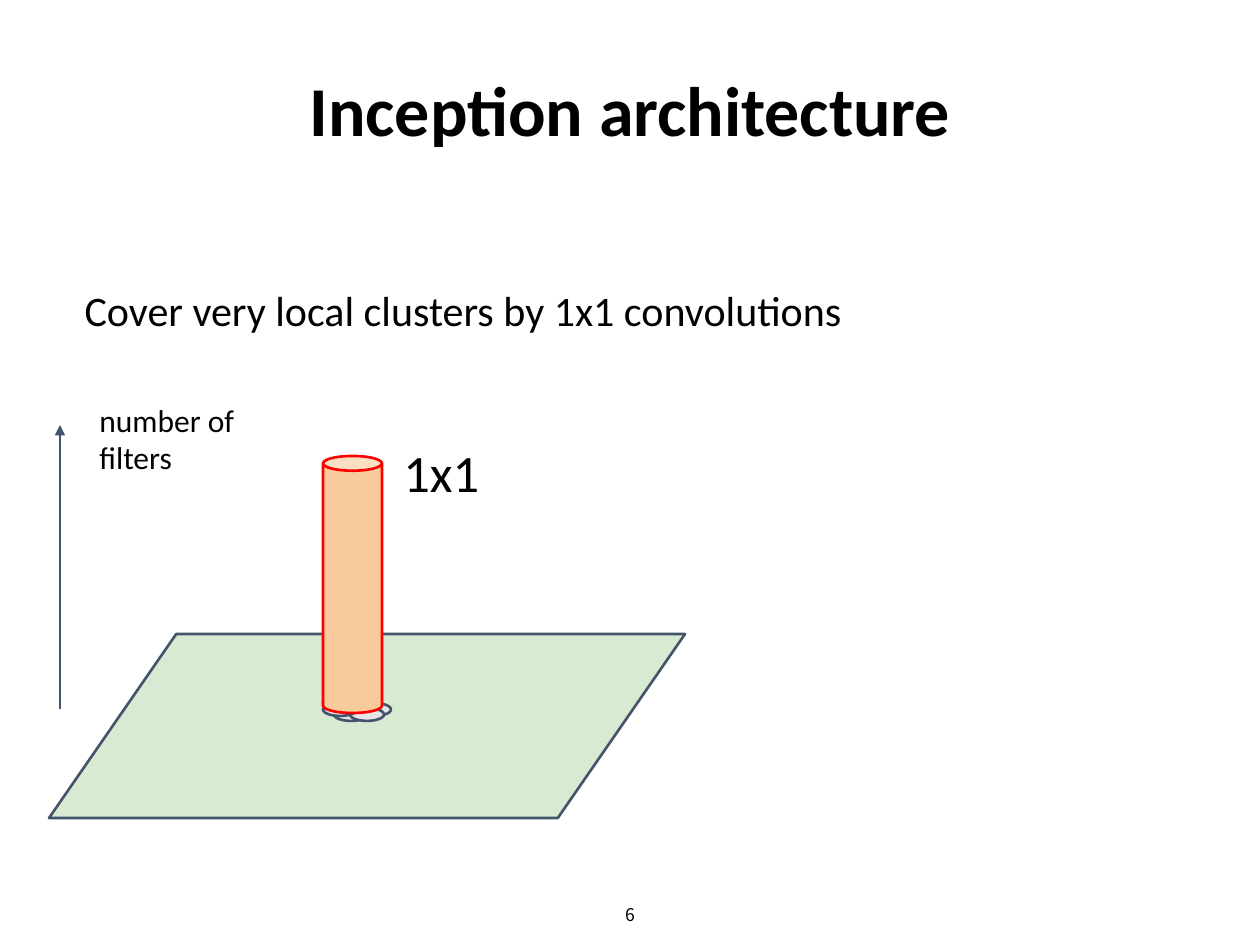
from dataclasses import dataclass

import pptx
import pptx.dml.color
import pptx.enum.shapes
import pptx.enum.text
import pptx.oxml
import pptx.oxml.ns
import pptx.util

PIXELS_PER_INCH = 126
Shape = pptx.enum.shapes.MSO_SHAPE
Align = pptx.enum.text.PP_ALIGN
Anchor = pptx.enum.text.MSO_ANCHOR


@dataclass(frozen=True)
class Theme:
    font: str = "Calibri"
    number_font: str = "Noto Sans CJK KR"
    text: str = "000000"
    outline: str = "44546A"
    plane: str = "D9EAD3"
    cluster: str = "E7E6E6"
    filter_fill: str = "F9CB9C"
    filter_outline: str = "FF0000"
    title_size: int = 40
    body_size: int = 24
    filter_size: int = 30
    label_size: int = 18
    number_size: int = 10
    line_width: float = 1.5


@dataclass(frozen=True)
class Area:
    left: int
    top: int
    width: int
    height: int

    def emu(self) -> tuple:
        return tuple(px(n) for n in (self.left, self.top, self.width, self.height))


@dataclass(frozen=True)
class Solid:
    kind: int
    area: Area
    fill: str
    outline: str


THEME = Theme()
CLUSTER_POINTS = ((323, 696), (334, 703), (347, 696), (357, 703),
                  (334, 708), (350, 708), (323, 703))
SOLIDS = (
    Solid(Shape.FLOWCHART_DATA, Area(49, 634, 636, 184), THEME.plane, THEME.outline),
    *(Solid(Shape.OVAL, Area(left, top, 34, 13), THEME.cluster, THEME.outline)
      for left, top in CLUSTER_POINTS),
    Solid(Shape.CAN, Area(323, 456, 59, 257), THEME.filter_fill, THEME.filter_outline),
)


def px(length: int) -> int:
    return round(length * 914400 / PIXELS_PER_INCH)


def color(value: str) -> pptx.dml.color.RGBColor:
    return pptx.dml.color.RGBColor.from_string(value)


def write(box, text: str, *, area: Area, size: int, font: str = THEME.font,
          bold: bool = False, align: int = Align.LEFT, anchor: int = Anchor.TOP) -> None:
    box.left, box.top, box.width, box.height = area.emu()
    frame = box.text_frame
    frame.word_wrap = True
    frame.auto_size = pptx.enum.text.MSO_AUTO_SIZE.NONE
    frame.vertical_anchor = anchor
    inset = pptx.util.Inches(0.1)
    frame.margin_left = frame.margin_right = inset
    frame.margin_top = frame.margin_bottom = inset if anchor == Anchor.TOP else 0
    para = frame.paragraphs[0]
    para.alignment = align
    para.space_before = pptx.util.Pt(0)
    span = para.add_run()
    span.text = text
    span.font.name = font
    span.font.size = pptx.util.Pt(size)
    span.font.bold = bold
    span.font.color.rgb = color(THEME.text)


def remove_bullet(para) -> None:
    properties = para._p.get_or_add_pPr()
    properties.set("marL", "0")
    properties.set("indent", "0")
    properties.append(pptx.oxml.parse_xml(
        f"<a:buNone {pptx.oxml.ns.nsdecls('a')}/>"))


def draw_solid(page, solid: Solid) -> None:
    shape = page.shapes.add_shape(solid.kind, *solid.area.emu())
    shape.shadow.inherit = False
    shape.fill.solid()
    shape.fill.fore_color.rgb = color(solid.fill)
    shape.line.color.rgb = color(solid.outline)
    shape.line.width = pptx.util.Pt(THEME.line_width)


def draw_arrow(page, start: tuple[int, int], end: tuple[int, int]) -> None:
    arrow = page.shapes.add_connector(
        pptx.enum.shapes.MSO_CONNECTOR.STRAIGHT, *(px(n) for n in start + end))
    arrow.line.color.rgb = color(THEME.outline)
    arrow.line.width = pptx.util.Pt(THEME.line_width)
    namespace = pptx.oxml.ns.nsdecls("a")
    arrow.line._get_or_add_ln().append(
        pptx.oxml.parse_xml(f'<a:tailEnd {namespace} type="triangle"/>'))
    arrow._element.spPr.append(pptx.oxml.parse_xml(f"<a:effectLst {namespace}/>"))


def add_text(page, text: str, **formatting) -> None:
    box = page.shapes.add_textbox(*formatting["area"].emu())
    write(box, text, **formatting)


def main() -> None:
    deck = pptx.Presentation()
    deck.slide_width, deck.slide_height = px(1260), px(945)
    page = deck.slides.add_slide(deck.slide_layouts[1])
    body = page.placeholders[1]
    write(page.shapes.title, "Inception architecture", area=Area(87, 52, 1086, 113),
          size=THEME.title_size, bold=True, align=Align.CENTER, anchor=Anchor.MIDDLE)
    write(body, "Cover very local clusters by 1x1 convolutions",
          area=Area(72, 272, 1157, 184), size=THEME.body_size)
    remove_bullet(body.text_frame.paragraphs[0])
    for solid in SOLIDS:
        draw_solid(page, solid)
    add_text(page, "1x1", area=Area(391, 427, 169, 112), size=THEME.filter_size)
    draw_arrow(page, (60, 709), (60, 425))
    add_text(page, "number of filters", area=Area(87, 388, 181, 68), size=THEME.label_size)
    add_text(page, "6", area=Area(483, 890, 294, 50), size=THEME.number_size,
             font=THEME.number_font, align=Align.CENTER, anchor=Anchor.MIDDLE)
    deck.save("out.pptx")


if __name__ == "__main__":
    main()
